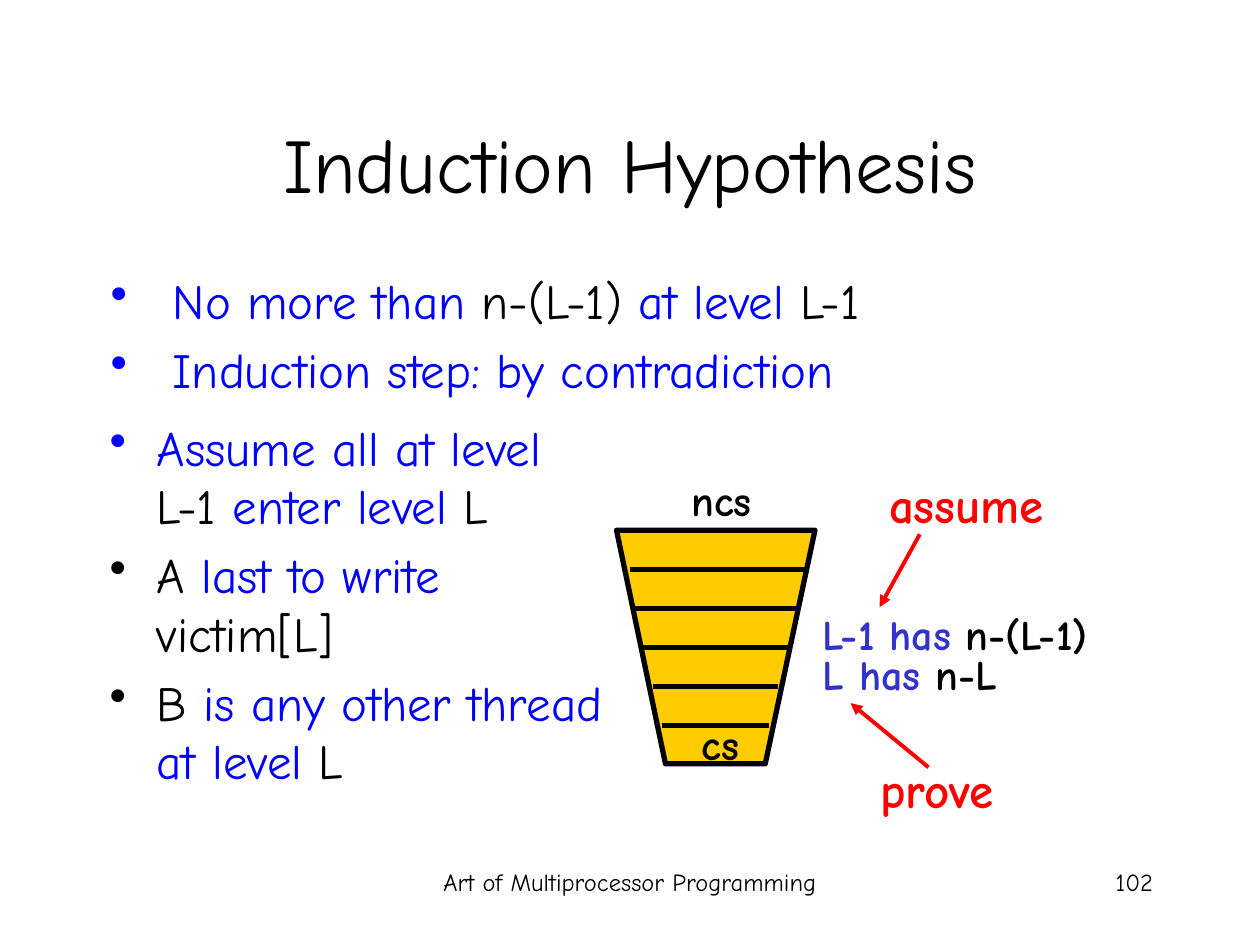
from dataclasses import dataclass

import pptx
import pptx.dml.color
import pptx.enum.shapes
import pptx.enum.text
import pptx.oxml
import pptx.oxml.ns
import pptx.util

Pt = pptx.util.Pt
RGB = pptx.dml.color.RGBColor
ALIGN = pptx.enum.text.PP_ALIGN
ANCHOR = pptx.enum.text.MSO_ANCHOR


@dataclass(frozen=True)
class Theme:
    font: str = "Comic Neue"
    black: str = "000000"
    blue: str = "0000FF"
    indigo: str = "3333CC"
    red: str = "FF0000"
    gold: str = "FFCC00"
    title: float = 44
    body: float = 28
    label: float = 24
    footer: float = 14
    bullet_gap: float = 5.6
    outline: float = 3
    arrow: float = 2.25


T = Theme()


@dataclass(frozen=True)
class Run:
    text: str
    color: str = T.black


@dataclass(frozen=True)
class TextBox:
    left: float
    top: float
    width: float
    height: float
    size: float
    paragraphs: list[list[Run]]
    bold: bool = False
    align: ALIGN = ALIGN.LEFT
    anchor: ANCHOR = ANCHOR.TOP
    indent: float = 0  # hanging indent; above zero the paragraphs get bullets


@dataclass(frozen=True)
class Line:
    x1: float
    y1: float
    x2: float
    y2: float
    color: str = T.black
    weight: float = T.outline
    arrow: bool = False


def add_bullet(p, indent: float) -> None:
    pPr = p._p.get_or_add_pPr()
    pPr.set("marL", str(Pt(indent)))
    pPr.set("indent", str(-Pt(indent)))
    bullet = pptx.oxml.parse_xml(f'<a:buChar {pptx.oxml.ns.nsdecls("a")} char="•"/>')
    pPr.append(bullet)


def add_text(s, box: TextBox) -> None:
    sp = s.shapes.add_textbox(Pt(box.left), Pt(box.top), Pt(box.width), Pt(box.height))
    tf = sp.text_frame
    tf.word_wrap = True
    tf.vertical_anchor = box.anchor
    for i, runs in enumerate(box.paragraphs):
        p = tf.add_paragraph() if i else tf.paragraphs[0]
        p.alignment = box.align
        if box.indent:
            add_bullet(p, box.indent)
        if i:
            p.space_before = Pt(T.bullet_gap)
        for run in runs:
            r = p.add_run()
            r.text = run.text
            r.font.name = T.font
            r.font.size = Pt(box.size)
            r.font.bold = box.bold
            r.font.color.rgb = RGB.from_string(run.color)


def add_line(s, line: Line) -> None:
    c = s.shapes.add_connector(
        pptx.enum.shapes.MSO_CONNECTOR.STRAIGHT,
        Pt(line.x1), Pt(line.y1), Pt(line.x2), Pt(line.y2))
    c.line.color.rgb = RGB.from_string(line.color)
    c.line.width = Pt(line.weight)
    ns = pptx.oxml.ns.nsdecls("a")
    if line.arrow:
        c.line._get_or_add_ln().append(pptx.oxml.parse_xml(f'<a:tailEnd {ns} type="triangle"/>'))
    c._element.spPr.append(pptx.oxml.parse_xml(f"<a:effectLst {ns}/>"))


def add_funnel(s) -> None:
    """Draw the narrowing stack of levels with its evenly spaced rungs."""
    corners = [(352.3, 303), (380.3, 436.5), (437.3, 436.5), (465.7, 303)]
    points = [(Pt(x), Pt(y)) for x, y in corners]
    builder = s.shapes.build_freeform(*points[0], scale=1.0)
    builder.add_line_segments(points[1:], close=True)
    sp = builder.convert_to_shape()
    sp.shadow.inherit = False
    sp.fill.solid()
    sp.fill.fore_color.rgb = RGB.from_string(T.gold)
    sp.line.color.rgb = RGB.from_string(T.black)
    sp.line.width = Pt(T.outline)
    for i, left in enumerate((360, 362.3, 367.7, 373, 378.3)):
        y = 325.3 + 22.3 * i
        add_line(s, Line(left, y, 460.8 - 5.4 * i, y))


TEXTS = [
    TextBox(246, 492, 228, 36, T.footer,
            [[Run("Art of Multiprocessor Programming")]], align=ALIGN.CENTER),
    TextBox(516, 492, 150, 36, T.footer, [[Run("102")]], align=ALIGN.RIGHT),
    TextBox(54, 48, 612, 90, T.title, [[Run("Induction Hypothesis")]],
            align=ALIGN.CENTER, anchor=ANCHOR.MIDDLE),
    TextBox(55.5, 234.8, 300, 275, T.body, [
        [Run("Assume all at level", T.blue), Run(" L-1"),
         Run(" enter level ", T.blue), Run("L")],
        [Run("A"), Run(" last to write ", T.blue), Run("victim[L]")],
        [Run("B"), Run(" is any other thread at level ", T.blue), Run("L")],
    ], indent=27),
    TextBox(56.2, 151.2, 479.5, 82, T.body, [
        [Run("No more than ", T.blue), Run("n-(L-1) "),
         Run("at level ", T.blue), Run("L-1")],
        [Run("Induction step: by contradiction", T.blue)],
    ], indent=35.5),
]

LABELS = [
    TextBox(388, 267.8, 51, 36, T.label, [[Run("ncs")]], bold=True),
    TextBox(393.8, 406.8, 38.5, 36, T.label, [[Run("cs")]], bold=True),
    TextBox(463, 344.2, 206, 36, T.label,
            [[Run("L-1 has ", T.indigo), Run("n-(L-1)")]], bold=True),
    TextBox(463, 367.2, 128, 36, T.label,
            [[Run("L has ", T.indigo), Run("n-L")]], bold=True),
    TextBox(501, 267.8, 109.5, 41, T.body, [[Run("assume", T.red)]], bold=True),
    TextBox(496, 430.6, 87, 41, T.body, [[Run("prove", T.red)]], bold=True),
]

ARROWS = [
    Line(525.6, 305.3, 502.6, 347, T.red, T.arrow, arrow=True),
    Line(530.6, 438.5, 486, 401.8, T.red, T.arrow, arrow=True),
]


def main() -> None:
    prs = pptx.Presentation()
    prs.slide_width, prs.slide_height = Pt(720), Pt(540)
    s = prs.slides.add_slide(prs.slide_layouts[6])
    for box in TEXTS:
        add_text(s, box)
    add_funnel(s)
    for box in LABELS:
        add_text(s, box)
    for arrow in ARROWS:
        add_line(s, arrow)
    prs.save("out.pptx")


if __name__ == "__main__":
    main()
